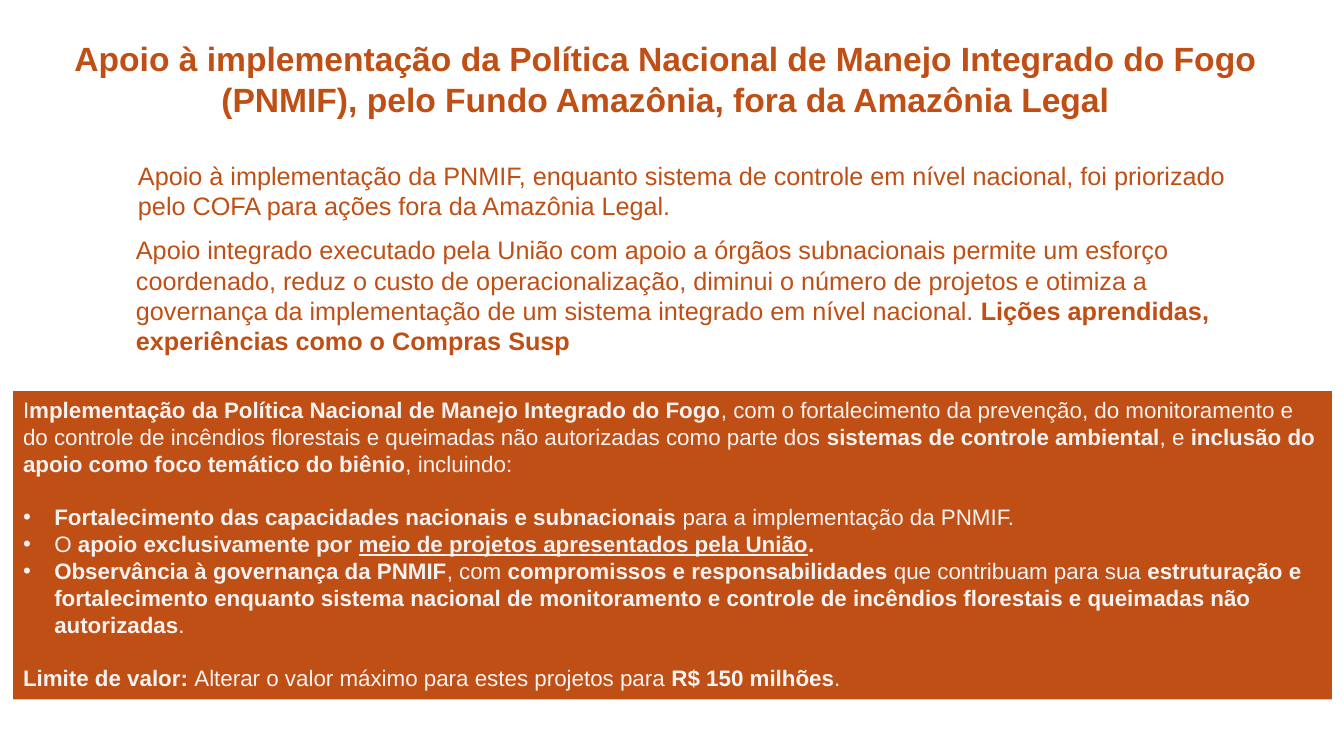
"""Build the slide on support for the PNMIF outside the Legal Amazon."""
from lxml import etree
from pptx import Presentation
from pptx.dml.color import RGBColor
from pptx.enum.shapes import MSO_SHAPE
from pptx.enum.text import MSO_ANCHOR, MSO_AUTO_SIZE, PP_ALIGN
from pptx.oxml.ns import qn
from pptx.util import Inches, Pt

RECT = MSO_SHAPE.RECTANGLE
TOP = MSO_ANCHOR.TOP
GROW = MSO_AUTO_SIZE.SHAPE_TO_FIT_TEXT
LEFT, CENTER = PP_ALIGN.LEFT, PP_ALIGN.CENTER

W, H = 13.33, 7.5
THEME = dict(font="Arial", orange="BF4F14", white="FFFFFF", light="F2F2F2",
             title=24, body=18, panel=16, gap=19, indent=0.31)

PLAIN, BOLD, LINK = {}, {"bold": True}, {"bold": True, "underline": True}

TITLE = [("", [("Apoio à implementação da Política Nacional de Manejo Integrado do Fogo "
                "(PNMIF), pelo Fundo Amazônia, fora da Amazônia Legal", BOLD)])]
PRIORITY = [("", [("Apoio à implementação da PNMIF, enquanto sistema de controle em nível "
                   "nacional, foi priorizado pelo COFA para ações fora da Amazônia Legal.", PLAIN)])]
REASON = [("", [
    ("Apoio integrado executado pela União com apoio a órgãos subnacionais permite um "
     "esforço coordenado, reduz o custo de operacionalização, diminui o número de projetos "
     "e otimiza a governança da implementação de um sistema integrado em nível nacional. ", PLAIN),
    ("Lições aprendidas, experiências como o Compras Susp", BOLD)])]
PROPOSAL = [
    ("", [
        ("I", PLAIN),
        ("mplementação da Política Nacional de Manejo Integrado do Fogo", BOLD),
        (", com o fortalecimento da prevenção, do monitoramento e do controle de incêndios "
         "florestais e queimadas não autorizadas como parte dos ", PLAIN),
        ("sistemas de controle ambiental", BOLD),
        (", e ", PLAIN),
        ("inclusão do apoio como foco temático do biênio", BOLD),
        (", incluindo:", PLAIN)]),
    ("gap bullet", [
        ("Fortalecimento das capacidades nacionais e subnacionais", BOLD),
        (" para a implementação da PNMIF.", PLAIN)]),
    ("bullet", [
        ("O ", PLAIN),
        ("apoio exclusivamente por ", BOLD),
        ("meio de projetos apresentados pela União", LINK),
        (".", BOLD)]),
    ("bullet", [
        ("Observância à governança da PNMIF", BOLD),
        (", com ", PLAIN),
        ("compromissos e responsabilidades", BOLD),
        (" que contribuam para sua ", PLAIN),
        ("estruturação e fortalecimento enquanto sistema nacional de monitoramento e "
         "controle de incêndios florestais e queimadas não autorizadas", BOLD),
        (".", PLAIN)]),
    ("gap", [
        ("Limite de valor: ", BOLD),
        ("Alterar o valor máximo para estes projetos para ", PLAIN),
        ("R$ 150 milhões", BOLD),
        (".", PLAIN)]),
]

BLOCKS = [
    (PRIORITY, (1.27, 1.54, 11.35, 0.71), "white", "orange", "body", LEFT),
    (REASON, (1.25, 2.28, 11.48, 1.31), "white", "orange", "body", LEFT),
    (TITLE, (0.48, 0.33, 12.24, 0.91), None, "orange", "title", CENTER),
    (PROPOSAL, (0.13, 3.88, 13.08, 3.06), "orange", "light", "panel", LEFT),
]


def color(name):
    return RGBColor.from_string(THEME[name])


def add_bullet(p, ink):
    pPr = p._p.get_or_add_pPr()
    indent = Inches(THEME["indent"])
    pPr.set("marL", str(indent))
    pPr.set("indent", str(-indent))
    tint = etree.SubElement(pPr, qn("a:buClr"))
    etree.SubElement(tint, qn("a:srgbClr"), val=THEME[ink])
    etree.SubElement(pPr, qn("a:buFont"), typeface=THEME["font"])
    etree.SubElement(pPr, qn("a:buChar"), char="•")


def write(tf, paragraphs, ink, size, align):
    for name, value in dict(word_wrap=True, auto_size=GROW, vertical_anchor=TOP).items():
        setattr(tf, name, value)
    for i, (style, runs) in enumerate(paragraphs):
        p = tf.add_paragraph() if i else tf.paragraphs[0]
        p.alignment = align
        if "gap" in style:
            p.space_before = Pt(THEME["gap"])
        if "bullet" in style:
            add_bullet(p, ink)
        for text, marks in runs:
            r = p.add_run()
            r.text = text
            look = {"name": THEME["font"], "size": Pt(THEME[size]), **marks}
            for name, value in look.items():
                setattr(r.font, name, value)
            r.font.color.rgb = color(ink)


def add_block(s, paragraphs, box, fill, ink, size, align):
    place = [Inches(v) for v in box]
    if fill:
        sp = s.shapes.add_shape(RECT, *place)
        sp.shadow.inherit = False
        sp.fill.solid()
        sp.fill.fore_color.rgb = color(fill)
        sp.line.fill.background()
    else:
        sp = s.shapes.add_textbox(*place)
    write(sp.text_frame, paragraphs, ink, size, align)


def main():
    prs = Presentation()
    prs.slide_width, prs.slide_height = Inches(W), Inches(H)
    s = prs.slides.add_slide(prs.slide_layouts[6])
    for block in BLOCKS:
        add_block(s, *block)
    prs.save("out.pptx")


if __name__ == "__main__":
    main()
